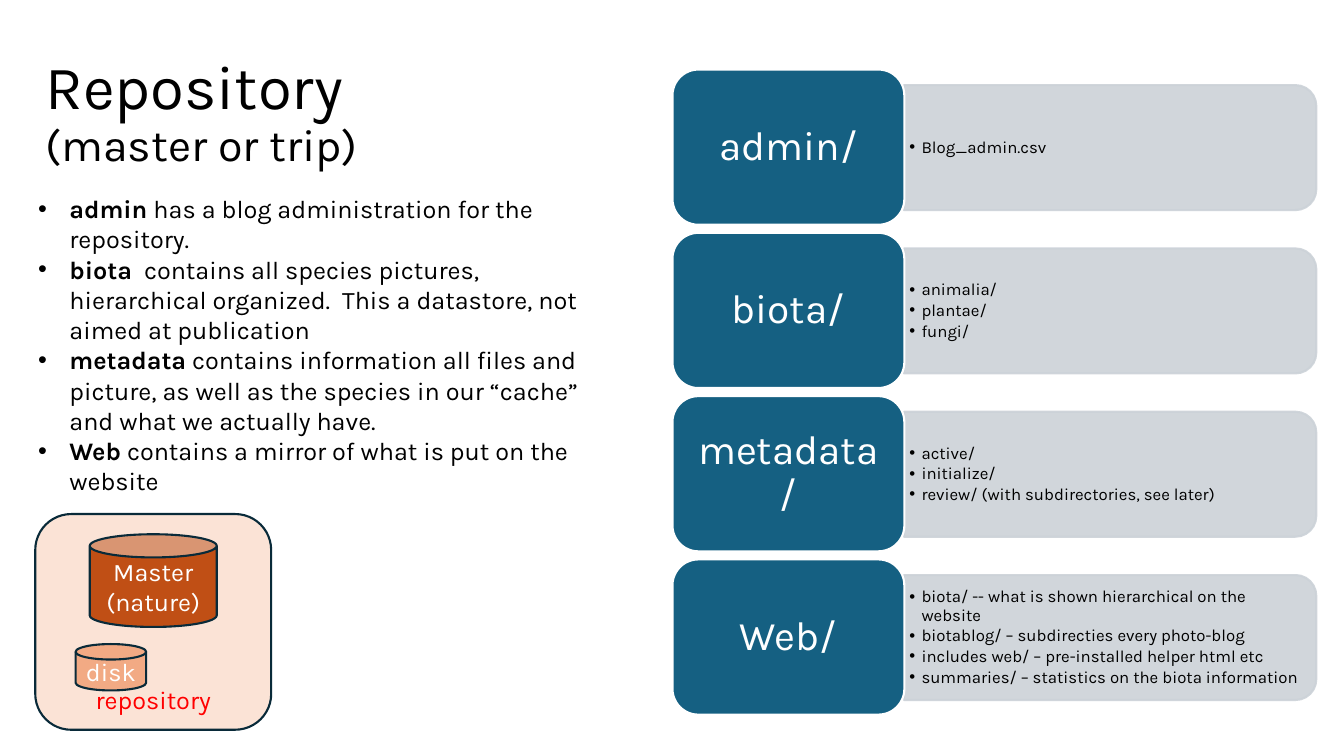
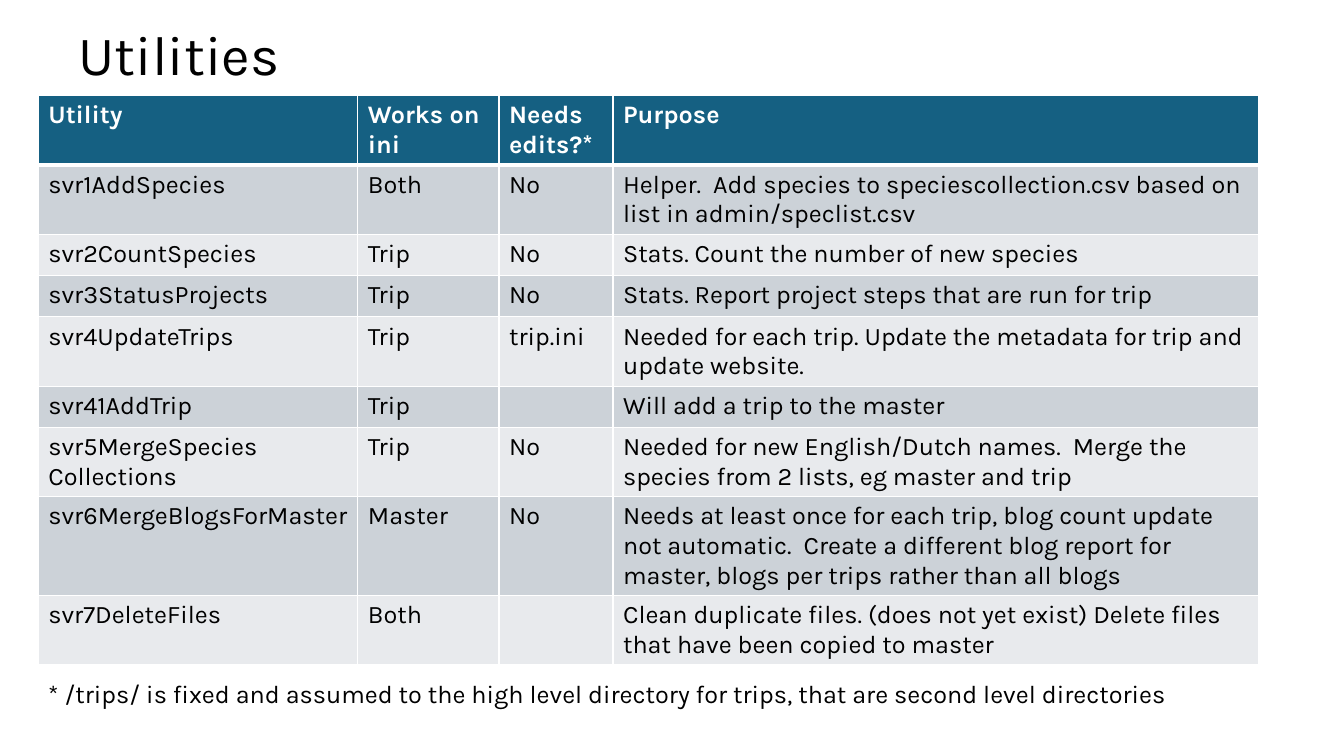
"""Build two slides on a photo repository and its utilities."""
from lxml.etree import SubElement
from pptx import Presentation
from pptx.dml.color import RGBColor
from pptx.enum.shapes import MSO_SHAPE
from pptx.enum.text import MSO_ANCHOR, MSO_AUTO_SIZE, PP_ALIGN
from pptx.oxml.ns import qn
from pptx.util import Emu, Pt

PX = 9144
FONT = "Karla"
BLACK, WHITE, RED = "000000", "FFFFFF", "FF0000"
BLUE, NAVY, GREY, PALE = "156082", "092A39", "CCD2D8", "E8EAED"

NOTES = [
    ("admin", " has a blog administration for the repository."),
    ("biota", "  contains all species pictures, hierarchical organized.  "
              "This a datastore, not aimed at publication"),
    ("metadata", " contains information all files and picture, as well as "
                 "the species in our “cache” and what we actually have."),
    ("Web", " contains a mirror of what is put on the website"),
]
FOLDERS = [
    ("admin/", ["Blog_admin.csv"]),
    ("biota/", ["animalia/", "plantae/", "fungi/"]),
    ("metadata/", ["active/", "initialize/",
                   "review/ (with subdirectories, see later)"]),
    ("Web/", ["biota/ -- what is shown hierarchical on the website",
              "biotablog/ – subdirecties every photo-blog",
              "includes web/ – pre-installed helper html etc",
              "summaries/ – statistics on the biota information"]),
]
STORES = [
    (MSO_SHAPE.ROUNDED_RECTANGLE, (35, 510, 234, 214), "FBE3D6",
     ["repository"], RED, MSO_ANCHOR.BOTTOM),
    (MSO_SHAPE.CAN, (89, 530, 126, 92), "C04F15",
     ["Master", "(nature)"], WHITE, MSO_ANCHOR.MIDDLE),
    (MSO_SHAPE.FLOWCHART_MAGNETIC_DISK, (75, 639, 70, 46), "F2AA84",
     ["disk"], WHITE, MSO_ANCHOR.MIDDLE),
]
COLUMNS = [("Utility", 317), ("Works on ini", 140),
           ("Needs edits?*", 113), ("Purpose", 640)]
UTILITIES = [
    ("svr1AddSpecies", "Both", "No",
     "Helper.  Add species to speciescollection.csv based on list in "
     "admin/speclist.csv"),
    ("svr2CountSpecies", "Trip", "No",
     "Stats. Count the number of new species"),
    ("svr3StatusProjects", "Trip", "No",
     "Stats. Report project steps that are run for trip"),
    ("svr4UpdateTrips", "Trip", "trip.ini",
     "Needed for each trip. Update the metadata for trip and update website."),
    ("svr41AddTrip", "Trip", "", "Will add a trip to the master"),
    ("svr5MergeSpecies\nCollections", "Trip", "No",
     "Needed for new English/Dutch names.  Merge the species from 2 lists, "
     "eg master and trip"),
    ("svr6MergeBlogsForMaster", "Master", "No",
     "Needs at least once for each trip, blog count update not automatic.  "
     "Create a different blog report for master, blogs per trips rather than "
     "all blogs"),
    ("svr7DeleteFiles", "Both", "",
     "Clean duplicate files. (does not yet exist) Delete files that have been "
     "copied to master"),
]
FOOTNOTE = ("* /trips/ is fixed and assumed to the high level directory for "
            "trips, that are second level directories")


def px(*lengths):
    """Turn px lengths into EMU."""
    return [Emu(length * PX) for length in lengths]


def rgb(value):
    """Turn a hex string into a colour."""
    return RGBColor.from_string(value)


def write(frame, paragraphs, size=18, color=BLACK, bold=False, align=PP_ALIGN.LEFT,
          spacing=None, after=0, bullet=0):
    """Fill a text frame; a paragraph is a string or a list of (text, changes)."""
    for index, content in enumerate(paragraphs):
        para = frame.paragraphs[0] if index == 0 else frame.add_paragraph()
        if bullet:
            properties = para._p.get_or_add_pPr()
            properties.set("marL", str(bullet * PX))
            properties.set("indent", str(-bullet * PX))
            SubElement(properties, qn("a:buFont"), typeface="Arial")
            SubElement(properties, qn("a:buChar"), char="•")
        para.alignment = align
        para.space_after = Pt(after)
        if spacing:
            para.line_spacing = spacing
        spans = [(content, {})] if isinstance(content, str) else content
        for text, changes in spans:
            for number, line in enumerate(text.split("\n")):
                if number:
                    para.add_line_break()
                if line:
                    span = para.add_run()
                    span.text = line
                    span.font.name = FONT
                    span.font.size = Pt(changes.get("size", size))
                    span.font.bold = changes.get("bold", bold)
                    span.font.color.rgb = rgb(color)


def set_frame(frame, anchor, margins=(10, 5)):
    """Set wrapping, anchor and margins of a text frame."""
    frame.word_wrap = True
    frame.auto_size = MSO_AUTO_SIZE.NONE
    frame.vertical_anchor = anchor
    frame.margin_left, frame.margin_top = px(*margins)
    frame.margin_right, frame.margin_bottom = px(*margins)
    return frame


def add_text(page, place, paragraphs, anchor=MSO_ANCHOR.TOP, margins=(10, 5), **style):
    """Add a text box."""
    box = page.shapes.add_textbox(*px(*place))
    write(set_frame(box.text_frame, anchor, margins), paragraphs, **style)


def add_shape(page, preset, place, fill, line):
    """Add a flat preset shape."""
    shape = page.shapes.add_shape(preset, *px(*place))
    shape.shadow.inherit = False
    shape.fill.solid()
    shape.fill.fore_color.rgb = rgb(fill)
    shape.line.color.rgb = rgb(line)
    shape.line.width = Pt(1.5)
    return shape


def add_page(deck, place, title, size):
    """Add a title-only slide with its title set."""
    page = deck.slides.add_slide(deck.slide_layouts[5])
    box = page.shapes.title
    box.left, box.top, box.width, box.height = px(*place)
    write(set_frame(box.text_frame, MSO_ANCHOR.MIDDLE), [title], size=size, spacing=0.9)
    return page


def add_folder(page, top, name, entries):
    """Add one folder tile with the panel that lists its entries."""
    left, width, height = 667, 230, 154
    panel_width, panel_height = 409, 124
    panel_left, middle = left + width, top + height // 2
    panel = add_shape(page, MSO_SHAPE.ROUND_2_SAME_RECTANGLE,
                      (panel_left + (panel_width - panel_height) // 2,
                       middle - panel_width // 2, panel_height, panel_width), GREY, GREY)
    panel.rotation = 90
    for color in panel._element.spPr.iter(qn("a:srgbClr")):
        SubElement(color, qn("a:alpha"), val="90000")
    add_text(page, (panel_left, middle - 55, 403, 111), entries, MSO_ANCHOR.MIDDLE,
             (5, 3), size=12, spacing=0.9, after=1.8, bullet=12)
    tile = add_shape(page, MSO_SHAPE.ROUNDED_RECTANGLE, (left, top, width, height),
                     BLUE, WHITE)
    write(set_frame(tile.text_frame, MSO_ANCHOR.MIDDLE, (11, 6)), [name], size=29,
          color=WHITE, align=PP_ALIGN.CENTER, spacing=0.9)


def add_borders(cell, top, bottom):
    """Draw white borders round a cell, with widths in points."""
    properties = cell._tc.get_or_add_tcPr()
    for side, width in (("L", 1), ("R", 1), ("T", top), ("B", bottom)):
        border = SubElement(properties, qn(f"a:ln{side}"), w=str(Pt(width)))
        SubElement(SubElement(border, qn("a:solidFill")), qn("a:srgbClr"), val=WHITE)


def add_utilities(page):
    """Add the table of utilities."""
    rows = [[name for name, width in COLUMNS], *UTILITIES]
    total = sum(width for name, width in COLUMNS)
    table = page.shapes.add_table(len(rows), len(COLUMNS),
                                  *px(38, 95, total, 41 * len(rows))).table
    table.first_row = table.horz_banding = False
    for column, (name, width) in zip(table.columns, COLUMNS):
        column.width = px(width)[0]
    for row, texts in enumerate(rows):
        header = row == 0
        fill = BLUE if header else GREY if row % 2 else PALE
        for column, text in enumerate(texts):
            cell = table.cell(row, column)
            add_borders(cell, 3 if row == 1 else 1, 3 if header else 1)
            cell.fill.solid()
            cell.fill.fore_color.rgb = rgb(fill)
            write(cell.text_frame, [text], color=WHITE if header else BLACK, bold=header)


def build_repository(deck):
    """Build the repository slide."""
    title = [("Repository \n", {}), ("(master or trip)", {"size": 32})]
    page = add_page(deck, (35, 40, 616, 145), title, 44)
    for preset, place, fill, lines, color, anchor in STORES:
        store = add_shape(page, preset, place, fill, NAVY)
        write(set_frame(store.text_frame, anchor), lines, color=color,
              align=PP_ALIGN.CENTER)
    for index, (name, entries) in enumerate(FOLDERS):
        add_folder(page, 69 + 162 * index, name, entries)
    notes = [[(term, {"bold": True}), (text, {})] for term, text in NOTES]
    add_text(page, (28, 187, 598, 313), notes, bullet=31)


def build_utilities(deck):
    """Build the utilities slide."""
    page = add_page(deck, (68, 20, 1150, 75), "Utilities", 39.6)
    add_utilities(page)
    add_text(page, (38, 668, 1210, 40), [FOOTNOTE])


def main():
    """Build and save the deck."""
    deck = Presentation()
    deck.slide_width, deck.slide_height = px(1333, 750)
    build_repository(deck)
    build_utilities(deck)
    deck.save("out.pptx")


if __name__ == "__main__":
    main()
